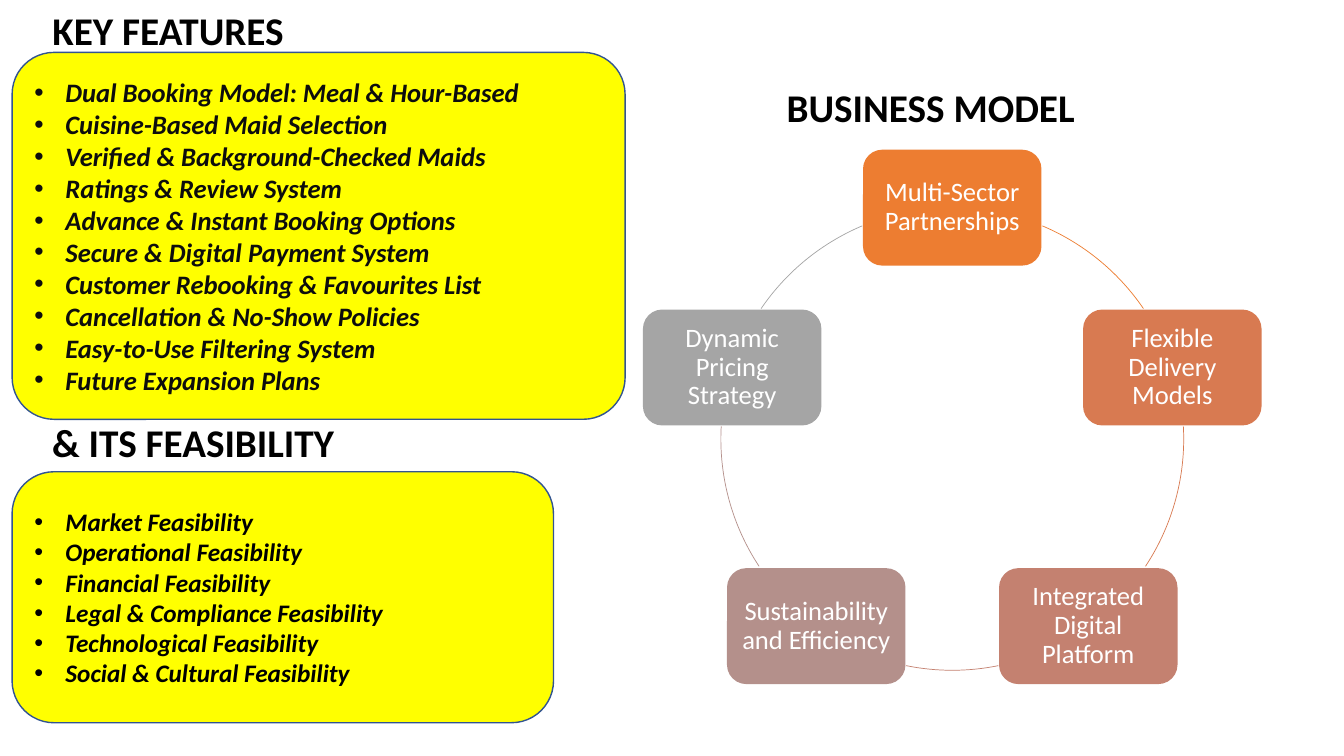
import math

from lxml import etree
from pptx import Presentation
from pptx.dml.color import RGBColor
from pptx.enum.shapes import MSO_SHAPE
from pptx.enum.text import MSO_ANCHOR, MSO_AUTO_SIZE, PP_ALIGN
from pptx.oxml.ns import qn
from pptx.util import Inches, Pt

ROUNDED, ARC = MSO_SHAPE.ROUNDED_RECTANGLE, MSO_SHAPE.ARC
LEFT, CENTER = PP_ALIGN.LEFT, PP_ALIGN.CENTER
TOP, MIDDLE = MSO_ANCHOR.TOP, MSO_ANCHOR.MIDDLE
NO_FIT = MSO_AUTO_SIZE.NONE
TITLE_ONLY = 5

FEATURES = [
    "Dual Booking Model: Meal & Hour-Based",
    "Cuisine-Based Maid Selection",
    "Verified & Background-Checked Maids",
    "Ratings & Review System",
    "Advance & Instant Booking Options",
    "Secure & Digital Payment System",
    "Customer Rebooking & Favourites List",
    "Cancellation & No-Show Policies",
    "Easy-to-Use Filtering System",
    "Future Expansion Plans",
]
FEASIBILITY = [
    "Market Feasibility",
    "Operational Feasibility",
    "Financial Feasibility",
    "Legal & Compliance Feasibility",
    "Technological Feasibility",
    "Social & Cultural Feasibility",
]
# Label, colour, and the degrees spanned by the arc to the next label
CYCLE = [
    ("Multi-Sector Partnerships", "ED7D31", 292.9, 325.7),
    ("Flexible Delivery Models", "D87A51", 356.9, 33.4),
    ("Integrated Digital Platform", "C48170", 78.5, 101.5),
    ("Sustainability and Efficiency", "B4908B", 146.6, 183.1),
    ("Dynamic Pricing Strategy", "A5A5A5", 214.3, 247.1),
]


def color(code):
    return RGBColor.from_string(code)


def set_all(target, values):
    for name, value in values.items():
        setattr(target, name, value)


def place(shape, box):
    names = ("left", "top", "width", "height")
    set_all(shape, dict(zip(names, map(Inches, box))))


def write(para, text, size, ink, **styles):
    span = para.add_run()
    span.text = text
    set_all(span.font, {"name": "Calibri", "size": Pt(size), **styles})
    span.font.color.rgb = color(ink)


def add_preset(page, preset, box, fill=None, line=None, weight=1):
    shape = page.shapes.add_shape(preset, *map(Inches, box))
    shape.shadow.inherit = False
    if fill:
        shape.fill.solid()
        shape.fill.fore_color.rgb = color(fill)
    else:
        shape.fill.background()
    if line:
        shape.line.color.rgb = color(line)
        shape.line.width = Pt(weight)
    else:
        shape.line.fill.background()
    return shape


def fill_heading(shape, box, text, align=LEFT):
    place(shape, box)
    frame = shape.text_frame
    set_all(frame, {"word_wrap": True, "vertical_anchor": TOP, "auto_size": NO_FIT})
    para = frame.paragraphs[0]
    set_all(para, {"alignment": align, "line_spacing": 1.0})
    write(para, text, 28, "000000", bold=True)


def add_bullet(para):
    props = para._p.get_or_add_pPr()
    props.set("marL", str(Inches(0.31)))
    props.set("indent", str(-Inches(0.31)))
    etree.SubElement(props, qn("a:buFont")).set("typeface", "Arial")
    etree.SubElement(props, qn("a:buChar")).set("char", "•")


def add_list_panel(page, box, items, size, ink, corner):
    panel = add_preset(page, ROUNDED, box, "FFFF00", "325491")
    panel.adjustments[0] = corner
    frame = panel.text_frame
    set_all(frame, {"word_wrap": True, "vertical_anchor": MIDDLE})
    for index, item in enumerate(items):
        para = frame.add_paragraph() if index else frame.paragraphs[0]
        para.alignment = LEFT
        add_bullet(para)
        write(para, item, size, ink, bold=True, italic=True)


def add_cycle_label(page, box, text, fill):
    label = add_preset(page, ROUNDED, box, fill)
    frame = label.text_frame
    # The rounded corners add their own inset, so the margins stay small
    margins = ("margin_left", "margin_right", "margin_top", "margin_bottom")
    set_all(frame, {"word_wrap": True, "vertical_anchor": MIDDLE,
                    **dict.fromkeys(margins, Inches(0.07))})
    para = frame.paragraphs[0]
    set_all(para, {"alignment": CENTER, "line_spacing": 0.9})
    write(para, text, 19, "FFFFFF")


def add_cycle(page, ring):
    """Labels sit evenly around the ring, clockwise from the top."""
    left, top, diameter, _ = ring
    radius = diameter / 2
    width, height = 1.77, 1.15
    for index, (text, fill, start, end) in enumerate(CYCLE):
        angle = math.radians(360 / len(CYCLE) * index - 90)
        x = left + radius * (1 + math.cos(angle)) - width / 2
        y = top + radius * (1 + math.sin(angle)) - height / 2
        add_cycle_label(page, (x, y, width, height), text, fill)
        arc = add_preset(page, ARC, ring, line=fill, weight=0.5)
        # Arc angles are stored in 60000ths of a degree, scaled by 100000
        arc.adjustments[0] = start * 0.6
        arc.adjustments[1] = end * 0.6


def add_heading(page, box, text, align=LEFT):
    shape = page.shapes.add_textbox(*map(Inches, box))
    fill_heading(shape, box, text, align)


def build_slide(deck):
    page = deck.slides.add_slide(deck.slide_layouts[TITLE_ONLY])
    # Left column: features, then feasibility
    fill_heading(page.shapes.title, (0.42, 0.01, 6.08, 0.57), "KEY FEATURES")
    add_list_panel(page, (0.12, 0.52, 6.08, 3.64), FEATURES, 19, "0D0D0D", 0.114)
    add_list_panel(page, (0.12, 4.68, 5.37, 2.49), FEASIBILITY, 18, "000000", 0.167)
    add_heading(page, (0.42, 4.1, 6.67, 0.57), "& ITS FEASIBILITY")
    # Right column: business model cycle
    add_cycle(page, (7.15, 2.06, 4.59, 4.59))
    add_heading(page, (6.09, 0.78, 6.28, 0.57), "BUSINESS MODEL", CENTER)


def main():
    deck = Presentation()
    set_all(deck, {"slide_width": Inches(13.33), "slide_height": Inches(7.5)})
    build_slide(deck)
    deck.save("out.pptx")


if __name__ == "__main__":
    main()
